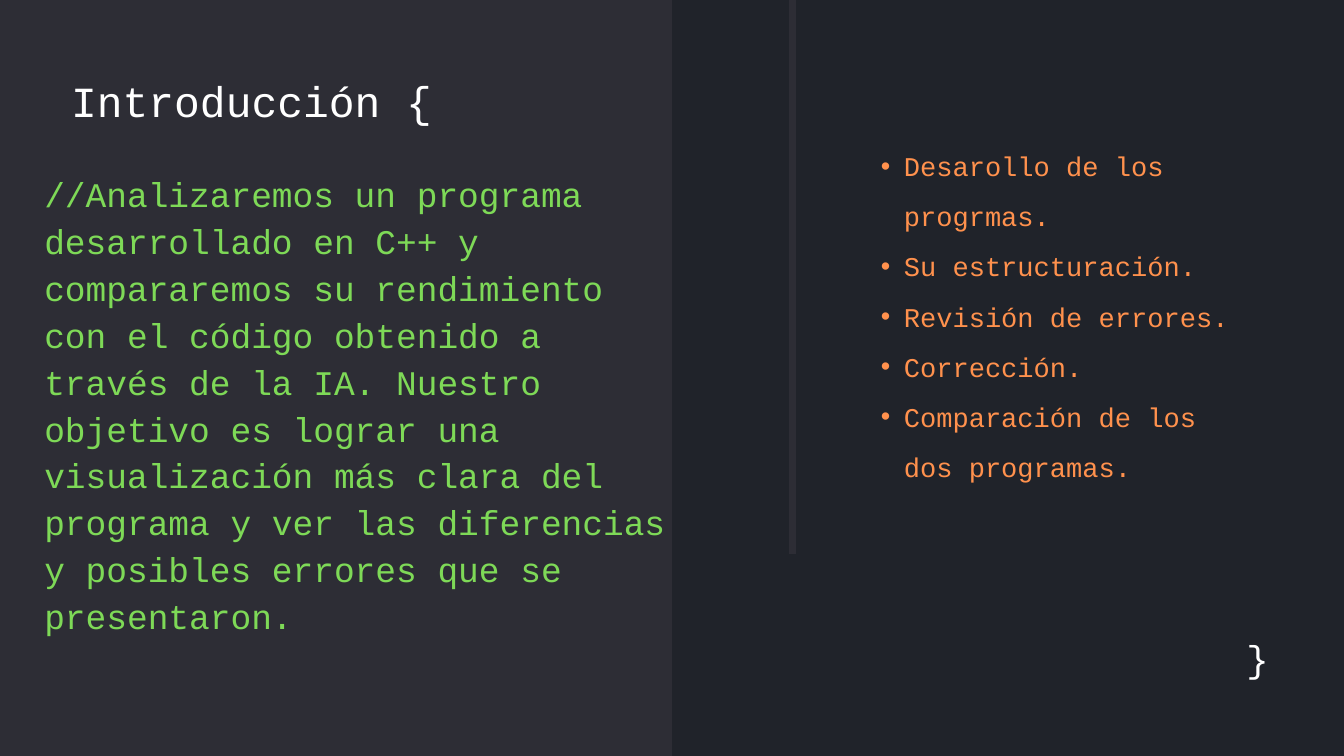
from dataclasses import dataclass

from lxml import etree
from pptx import Presentation
from pptx.dml.color import RGBColor as RGB
from pptx.enum.shapes import MSO_CONNECTOR as Conn, MSO_SHAPE as Shape
from pptx.enum.text import PP_ALIGN as Align
from pptx.oxml.ns import qn
from pptx.util import Pt


@dataclass(frozen=True)
class Theme:
    font: str = "Courier New"
    background: str = "20232A"
    panel: str = "2D2D35"
    # Text styles: size, line spacing, colour
    title: tuple = (46, 52.5, "FFFFFF")
    brace: tuple = (40, 45.6, "FFFFFF")
    comment: tuple = (37, 50.3, "7ED957")
    topics: tuple = (29, 53.6, "FF914D")


THEME = Theme()

# Content
TITLE = "Introducción {"
CLOSING = "}"
COMMENT = (
    "//Analizaremos un programa desarrollado en C++ y compararemos su "
    "rendimiento con el código obtenido a través de la IA. Nuestro objetivo "
    "es lograr una visualización más clara del programa y ver las "
    "diferencias y posibles errores que se presentaron."
)
TOPICS = [
    "Desarollo de los progrmas.",
    "Su estructuración.",
    "Revisión de errores.",
    "Corrección.",
    "Comparación de los dos programas.",
]

# Layout, in points
WIDTH, HEIGHT = 1440, 810
BLEED_X, BLEED_Y = 13.7, 7.9
RULE_X, RULE_TOP, RULE_BOTTOM, RULE_WEIGHT = 848.9, -34.6, 594, 7.5
BULLET_INDENT = 24.5

# Text, style, box (left, top, width, height), alignment, bulleted
TEXTS = [
    ([TITLE], THEME.title, (76.3, 82.1, 553.7, 54), Align.LEFT, False),
    ([CLOSING], THEME.brace, (1303.9, 683.3, 55.4, 46.1), Align.RIGHT, False),
    ([COMMENT], THEME.comment, (47.5, 179.3, 672.5, 502.6), Align.LEFT, False),
    (TOPICS, THEME.topics, (919.4, 141.8, 412.6, 421.9), Align.LEFT, True),
]


def add_bullet(p):
    pPr = p._p.get_or_add_pPr()
    pPr.set("marL", str(Pt(2 * BULLET_INDENT)))
    pPr.set("indent", str(-Pt(BULLET_INDENT)))
    etree.SubElement(pPr, qn("a:buFont"), typeface="Arial")
    etree.SubElement(pPr, qn("a:buChar"), char="•")


def add_text(slide, lines, style, box, align, bulleted):
    size, spacing, color = style
    tf = slide.shapes.add_textbox(*map(Pt, box)).text_frame
    tf.word_wrap = True
    tf.margin_left = tf.margin_top = tf.margin_right = tf.margin_bottom = 0
    tf.text = "\n".join(lines)
    for p in tf.paragraphs:
        p.alignment = align
        p.line_spacing = Pt(spacing)
        if bulleted:
            add_bullet(p)
        for r in p.runs:
            r.font.name = THEME.font
            r.font.size = Pt(size)
            r.font.color.rgb = RGB.from_string(color)


def main():
    prs = Presentation()
    prs.slide_width, prs.slide_height = Pt(WIDTH), Pt(HEIGHT)
    s = prs.slides.add_slide(prs.slide_layouts[6])
    s.background.fill.solid()
    s.background.fill.fore_color.rgb = RGB.from_string(THEME.background)

    # Left half panel, bleeding past the top left corner
    panel = s.shapes.add_shape(
        Shape.RECTANGLE, Pt(-BLEED_X), Pt(-BLEED_Y),
        Pt(WIDTH / 2 + BLEED_X), Pt(HEIGHT + BLEED_Y))
    panel.shadow.inherit = False
    panel.fill.solid()
    panel.fill.fore_color.rgb = RGB.from_string(THEME.panel)
    panel.line.fill.background()

    # Title, closing brace, comment and topics
    for text in TEXTS:
        add_text(s, *text)

    # Vertical rule
    rule = s.shapes.add_connector(
        Conn.STRAIGHT, Pt(RULE_X), Pt(RULE_TOP), Pt(RULE_X), Pt(RULE_BOTTOM))
    rule.line.color.rgb = RGB.from_string(THEME.panel)
    rule.line.width = Pt(RULE_WEIGHT)
    etree.SubElement(rule._element.spPr, qn("a:effectLst"))

    prs.save("out.pptx")


if __name__ == "__main__":
    main()
